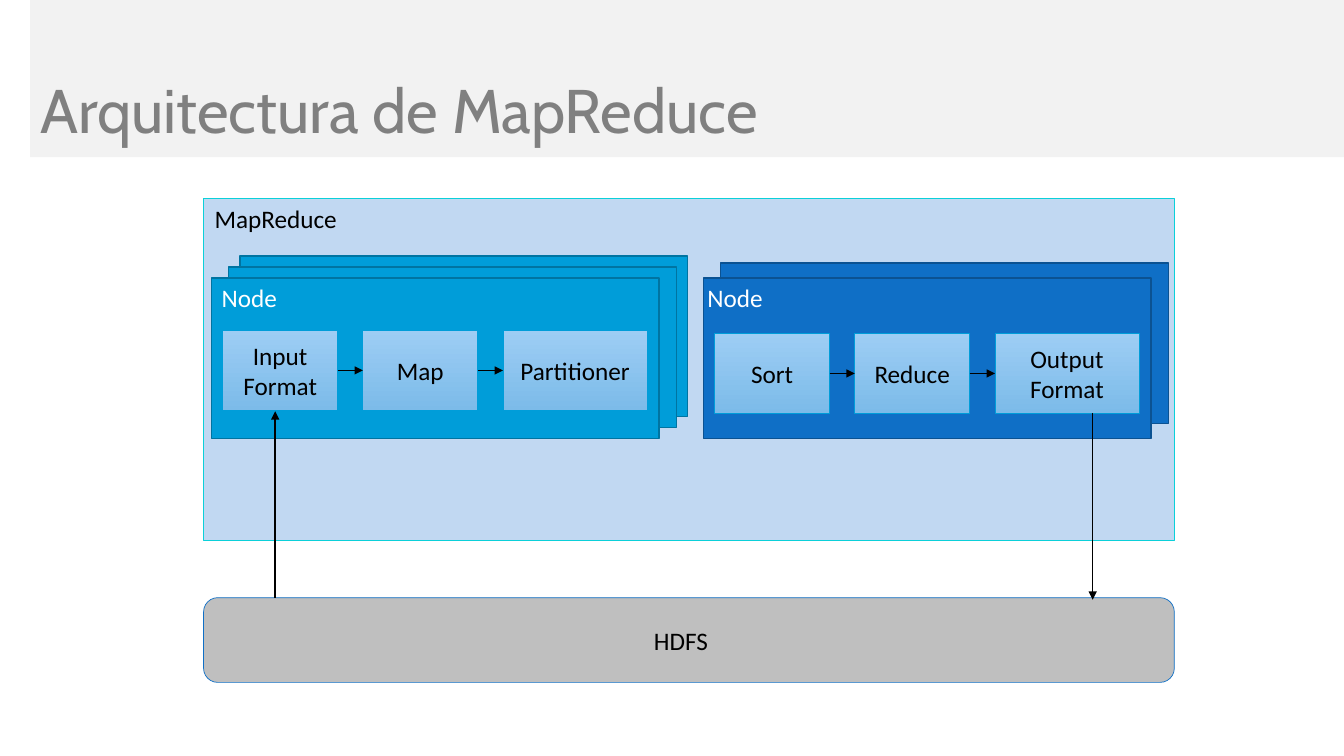
from dataclasses import dataclass

from lxml import etree
from pptx import Presentation
from pptx.dml.color import RGBColor
from pptx.enum.shapes import MSO_CONNECTOR, MSO_SHAPE
from pptx.enum.text import MSO_ANCHOR, PP_ALIGN
from pptx.oxml.ns import qn
from pptx.util import Inches, Pt

RECTANGLE = MSO_SHAPE.RECTANGLE
ROUNDED = MSO_SHAPE.ROUNDED_RECTANGLE
STRAIGHT = MSO_CONNECTOR.STRAIGHT
MIDDLE, TOP = MSO_ANCHOR.MIDDLE, MSO_ANCHOR.TOP
LEFT, CENTER = PP_ALIGN.LEFT, PP_ALIGN.CENTER
LEFT_SIDE, RIGHT_SIDE = 1, 3

CELL = Inches(0.1)  # columns and rows of the slide grid
SLIDE_COLUMNS, SLIDE_ROWS = 133.33, 75
STEP_PITCH, STEP_HEIGHT = 13.9, 7.9
STEP_WIDTHS = (11.4, 11.4, 14.3)
NODE_WIDTH, NODE_HEIGHT = 44.4, 15.9
BLACK, WHITE = "000000", "FFFFFF"


@dataclass(frozen=True)
class Area:
    column: float
    row: float
    width: float
    height: float

    def lengths(self) -> tuple[int, ...]:
        return tuple(grid(value) for value in
                     (self.column, self.row, self.width, self.height))


@dataclass(frozen=True)
class NodeStack:
    corners: tuple[tuple[float, float], ...]  # back to front
    fill: str
    line: str
    label: Area
    first_step: tuple[float, float]
    steps: tuple[str, ...]


NODE_STACKS = (
    NodeStack(((23.8, 25.4), (22.7, 26.5), (21, 27.6)), "009DD9", "0074A1",
              Area(21, 27.5, 7.6, 4), (22.1, 32.8),
              ("Input\nFormat", "Map", "Partitioner")),
    NodeStack(((71.5, 26.1), (69.8, 27.6)), "0F6FC6", "0B5292",
              Area(69.2, 27.5, 7.6, 4), (70.9, 33.1),
              ("Sort", "Reduce", "Output Format")),
)


def grid(cells: float) -> int:
    return round(cells * CELL)


def color(value: str) -> RGBColor:
    return RGBColor.from_string(value)


def add_box(slide, area: Area, fill: str, line: str | None = None,
            weight: float = 1, kind=RECTANGLE):
    shape = slide.shapes.add_shape(kind, *area.lengths())
    shape.shadow.inherit = False
    shape.fill.solid()
    shape.fill.fore_color.rgb = color(fill)
    if line:
        shape.line.color.rgb = color(line)
        shape.line.width = Pt(weight)
    else:
        shape.line.fill.background()
    return shape


def write(shape, text: str, text_color: str, align=LEFT, anchor=TOP, wrap: bool = True,
          size: float = 18, font: str = "Calibri", spacing: float = 1) -> None:
    """Fill the shape with one paragraph; newlines become line breaks."""
    frame = shape.text_frame
    frame.word_wrap = wrap
    frame.vertical_anchor = anchor
    paragraph = frame.paragraphs[0]
    paragraph.alignment = align
    paragraph.line_spacing = spacing
    for index, line in enumerate(text.split("\n")):
        if index:
            paragraph.add_line_break()
        run = paragraph.add_run()
        run.text = line
        run.font.size = Pt(size)
        run.font.name = font
        run.font.color.rgb = color(text_color)


def add_label(slide, area: Area, text: str, text_color: str, **style) -> None:
    write(slide.shapes.add_textbox(*area.lengths()), text, text_color, **style)


def add_step(slide, area: Area, text: str):
    shape = add_box(slide, area, "90C3EC", "009DD9", 0.5)
    shape.fill.gradient()
    shape.fill.gradient_angle = 270
    for stop, value in zip(shape.fill.gradient_stops, ("9DCDF4", "7CBBE9")):
        stop.color.rgb = color(value)
    write(shape, text, BLACK, align=CENTER, anchor=MIDDLE)
    return shape


def add_arrow(slide, start: tuple[float, float] = (0, 0), end: tuple[float, float] = (0, 0)):
    arrow = slide.shapes.add_connector(
        STRAIGHT, *(grid(value) for value in (*start, *end)))
    arrow.line.color.rgb = color(BLACK)
    arrow.line.width = Pt(1)
    etree.SubElement(arrow.line._get_or_add_ln(), qn("a:tailEnd"), type="triangle")
    etree.SubElement(arrow._element.spPr, qn("a:effectLst"))
    return arrow


def add_node_stack(slide, stack: NodeStack) -> None:
    for column, row in stack.corners:
        add_box(slide, Area(column, row, NODE_WIDTH, NODE_HEIGHT), stack.fill, stack.line)
    add_label(slide, stack.label, "Node", WHITE, wrap=False)
    column, row = stack.first_step
    steps = [add_step(slide, Area(column + index * STEP_PITCH, row, width, STEP_HEIGHT), text)
             for index, (width, text) in enumerate(zip(STEP_WIDTHS, stack.steps))]
    for source, target in zip(steps, steps[1:]):
        arrow = add_arrow(slide)
        arrow.begin_connect(source, RIGHT_SIDE)
        arrow.end_connect(target, LEFT_SIDE)


def main() -> None:
    presentation = Presentation()
    presentation.slide_width = grid(SLIDE_COLUMNS)
    presentation.slide_height = grid(SLIDE_ROWS)
    slide = presentation.slides.add_slide(presentation.slide_layouts[6])

    add_box(slide, Area(3, 0, SLIDE_COLUMNS - 3, 15.6), "F2F2F2")
    add_label(slide, Area(3, 4, 121.2, 14.5), "Arquitectura de MapReduce", "808080",
              anchor=MIDDLE, size=44, font="Cabin", spacing=0.9)

    add_box(slide, Area(20.2, 19.7, 96.3, 33.9), "C1D8F2", "0BD0D9")
    add_label(slide, Area(20.3, 19.7, 14.3, 4), "MapReduce", BLACK, wrap=False)
    for stack in NODE_STACKS:
        add_node_stack(slide, stack)

    add_box(slide, Area(20.2, 59.3, 96.3, 8.4), "BFBFBF", "0F6FC6", 0.5, ROUNDED)
    add_label(slide, Area(18.6, 61.5, 97.9, 4), "HDFS", BLACK, align=CENTER)
    add_arrow(slide, (27.3, 59.3), (27.3, 40.8))
    add_arrow(slide, (108.4, 41), (108.4, 59.5))

    presentation.save("out.pptx")


if __name__ == "__main__":
    main()
